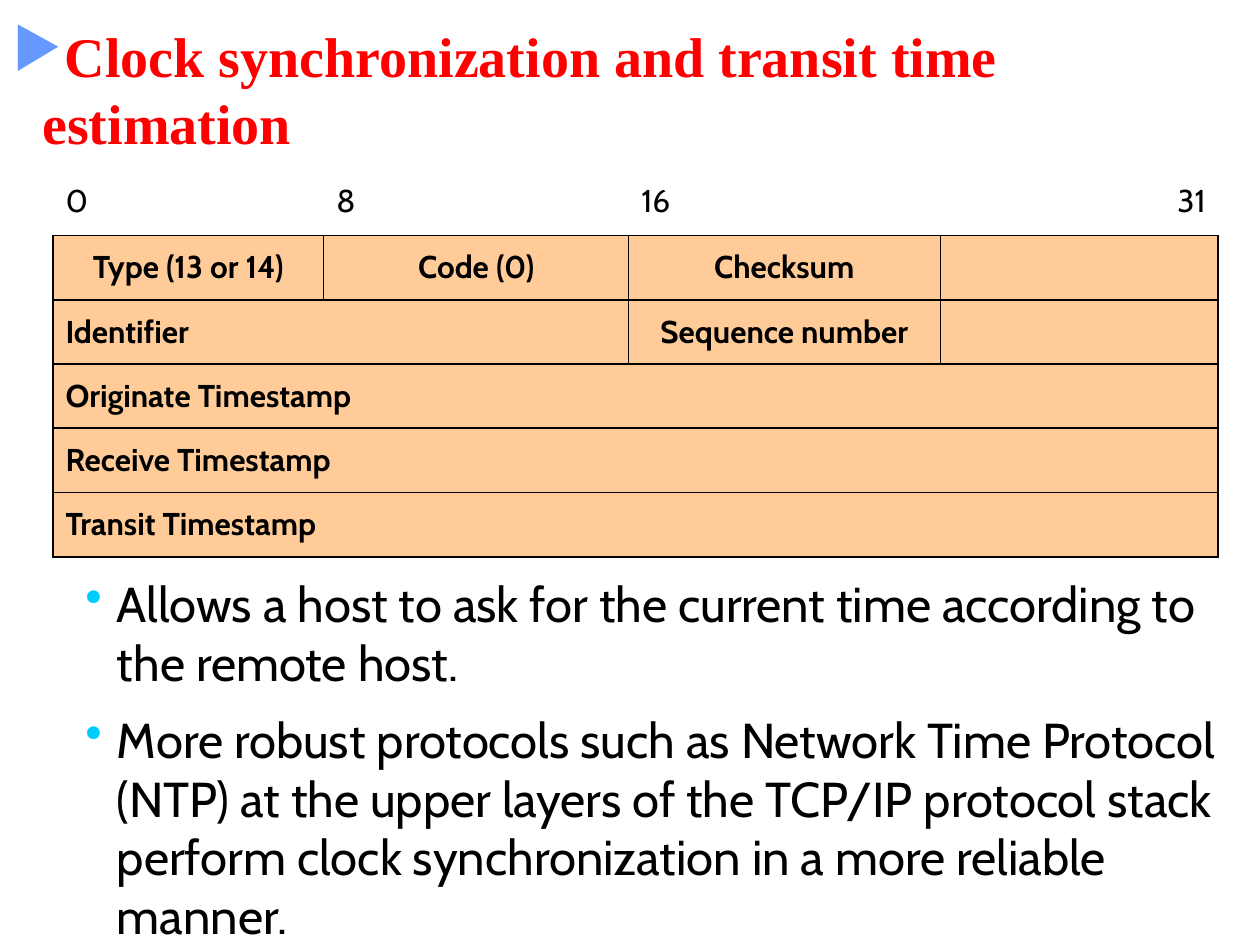
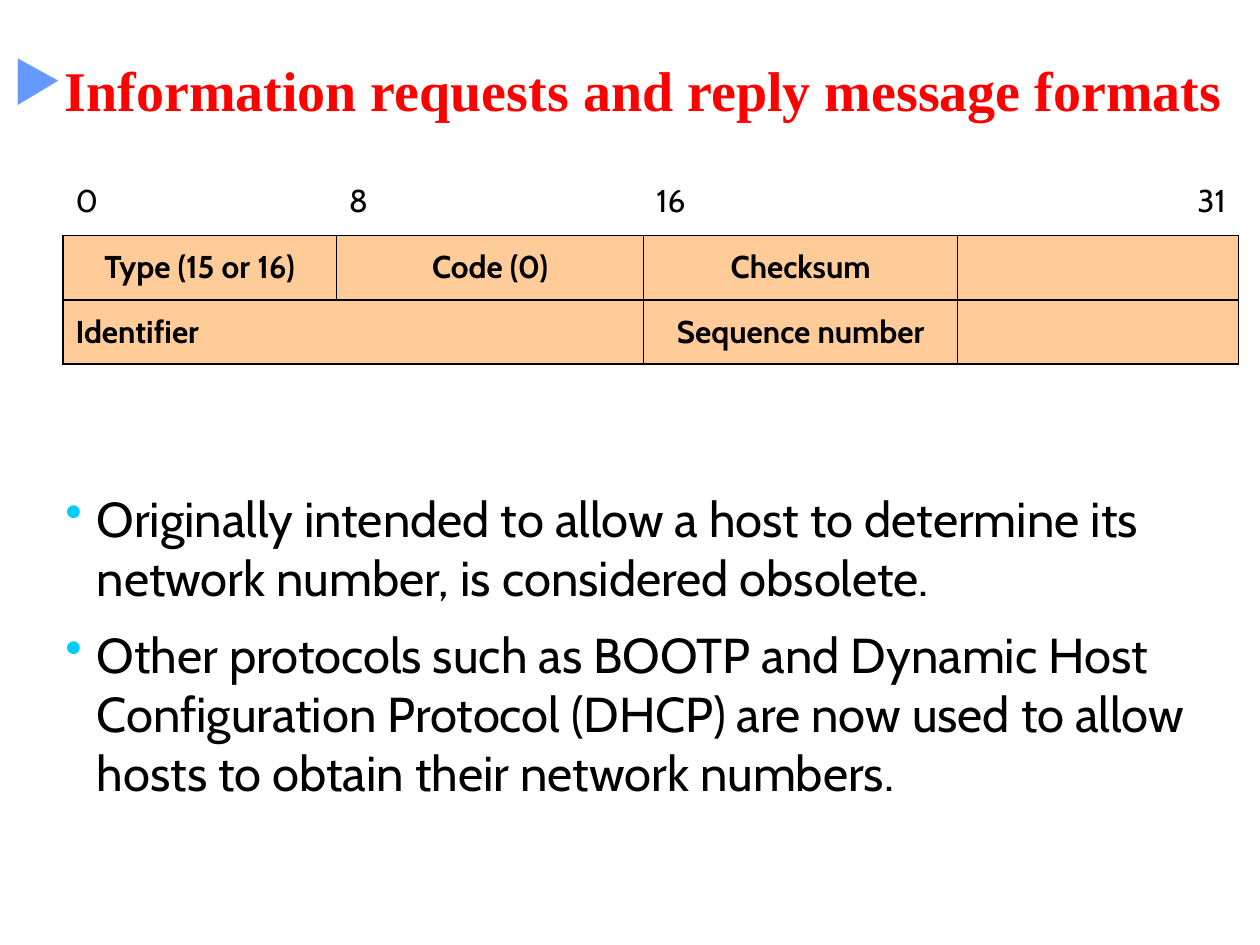
"""Build two slides on ICMP timestamp and information message formats."""
import pptx
import pptx.dml.color
import pptx.enum.text
import pptx.oxml.ns
import pptx.util
from lxml import etree

Inches, Pt = pptx.util.Inches, pptx.util.Pt
ALIGN, ANCHOR = pptx.enum.text.PP_ALIGN, pptx.enum.text.MSO_ANCHOR
NO_STYLE = "{2D5ABB26-0587-4C30-8999-92F81FD0307C}"
RED, BLACK, PEACH, BLUE, CYAN = "FF0000", "000000", "FFCC99", "6699FF", "00CCFF"
THICK, THIN = 1.08, 0.45


def add_xml(parent, tag, **attrs):
    return etree.SubElement(parent, pptx.oxml.ns.qn(tag), attrs)


def format_paragraph(p, font, size, color, bold=False, bullet=None, bullet_color=None):
    if bullet:
        pPr = p._p.get_or_add_pPr()
        add_xml(add_xml(pPr, "a:buClr"), "a:srgbClr", val=bullet_color)
        add_xml(pPr, "a:buChar", char=bullet)
    for r in p.runs:
        r.font.name, r.font.size, r.font.bold = font, Pt(size), bold
        r.font.color.rgb = pptx.dml.color.RGBColor.from_string(color)


slides = [
    {
        "title": "Clock synchronization and transit time estimation",
        "type": "Type (13 or 14)",
        "timestamps": ["Originate Timestamp", "Receive Timestamp", "Transit Timestamp"],
        "table_at": (0.42, 1.33),
        "cols": [2.15, 2.42, 2.47, 2.21],
        "body_at": (0.58, 4.5, 9.58, 3.05),
        "body": [
            "Allows a host to ask for the current time according to the remote host.",
            "More robust protocols such as Network Time Protocol (NTP) at the upper layers "
            "of the TCP/IP protocol stack perform clock synchronization in a more reliable manner.",
        ],
    },
    {
        "title": "Information requests and reply message formats",
        "type": "Type (15 or 16)",
        "timestamps": [],
        "table_at": (0.5, 1.33),
        "cols": [2.17, 2.44, 2.49, 2.23],
        "body_at": (0.42, 3.83, 9.58, 2.58),
        "body": [
            "Originally intended to allow a host to determine its network number, "
            "is considered obsolete.",
            "Other protocols such as BOOTP and Dynamic Host Configuration Protocol (DHCP) "
            "are now used to allow hosts to obtain their network numbers.",
        ],
    },
]

prs = pptx.Presentation()
prs.slide_width, prs.slide_height = Inches(10), Inches(7.5)

for content in slides:
    s = prs.slides.add_slide(prs.slide_layouts[5])

    title = s.shapes.title
    title.left, title.top = Inches(0), Inches(0.33)
    title.width, title.height = Inches(10), Inches(0.75)
    tf = title.text_frame
    tf.text = content["title"]
    tf.auto_size = pptx.enum.text.MSO_AUTO_SIZE.NONE
    tf.vertical_anchor = ANCHOR.MIDDLE
    p = tf.paragraphs[0]
    p.alignment = ALIGN.LEFT
    format_paragraph(p, "Times New Roman", 32, RED, True, "▶", BLUE)

    rows = [
        ["0", "8", "16", "31"],
        [content["type"], "Code (0)", "Checksum", ""],
        ["Identifier", "", "Sequence number", ""],
    ] + [[name, "", "", ""] for name in content["timestamps"]]
    heights = [0.54] + [0.51] * (len(rows) - 1)
    left, top = content["table_at"]
    frame = s.shapes.add_table(len(rows), 4, Inches(left), Inches(top),
                               Inches(sum(content["cols"])), Inches(sum(heights)))
    table = frame.table
    table.first_row = table.horz_banding = False
    table._tbl.tblPr.find(pptx.oxml.ns.qn("a:tableStyleId")).text = NO_STYLE
    for column, width in zip(table.columns, content["cols"]):
        column.width = Inches(width)
    for row, height in zip(table.rows, heights):
        row.height = Inches(height)

    for i, texts in enumerate(rows):
        if i > 2:
            table.cell(i, 0).merge(table.cell(i, 2))
        dividers = {1: [1, 2], 2: [2]}.get(i, [])
        for j, text in enumerate(texts):
            cell = table.cell(i, j)
            cell.vertical_anchor = ANCHOR.MIDDLE
            if text:
                cell.text_frame.text = text
                p = cell.text_frame.paragraphs[0]
                if text == "31":
                    p.alignment = ALIGN.RIGHT
                elif i == 1 or i == 2 and j == 2:
                    p.alignment = ALIGN.CENTER
                format_paragraph(p, "Cabin", 18, BLACK, i > 0)

            edges = {"L": 0, "R": 0, "T": 0, "B": THICK}
            if i > 0:
                edges["T"] = THICK
                edges["L"] = THICK if j == 0 else THIN if j in dividers else 0
                edges["R"] = THICK if j == 3 else THIN if j + 1 in dividers else 0
            tcPr = cell._tc.get_or_add_tcPr()
            for side, weight in edges.items():
                if weight:
                    ln = add_xml(tcPr, "a:ln" + side, w=str(int(Pt(weight))))
                    add_xml(add_xml(ln, "a:solidFill"), "a:srgbClr", val=BLACK)
            if i > 0:
                cell.fill.solid()
                cell.fill.fore_color.rgb = pptx.dml.color.RGBColor.from_string(PEACH)
            else:
                cell.fill.background()

    body = s.shapes.add_textbox(*[Inches(v) for v in content["body_at"]])
    tf = body.text_frame
    tf.word_wrap = True
    for n, text in enumerate(content["body"]):
        p = tf.add_paragraph() if n else tf.paragraphs[0]
        p.text = text
        pPr = p._p.get_or_add_pPr()
        pPr.set("marL", str(Inches(0.25)))
        pPr.set("indent", str(-Inches(0.25)))
        format_paragraph(p, "Cabin", 28, BLACK, bullet="•", bullet_color=CYAN)
        if n:
            p.space_before = Pt(10.5)

prs.save("out.pptx")
